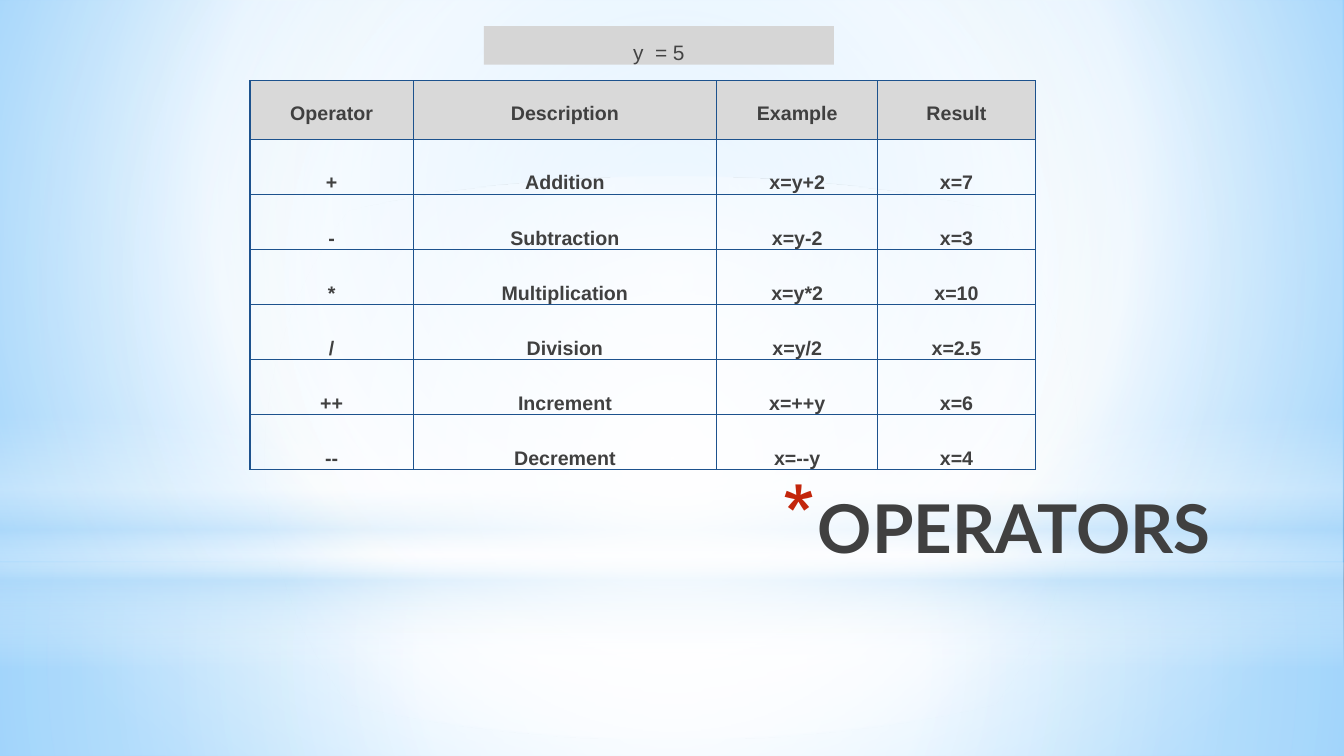
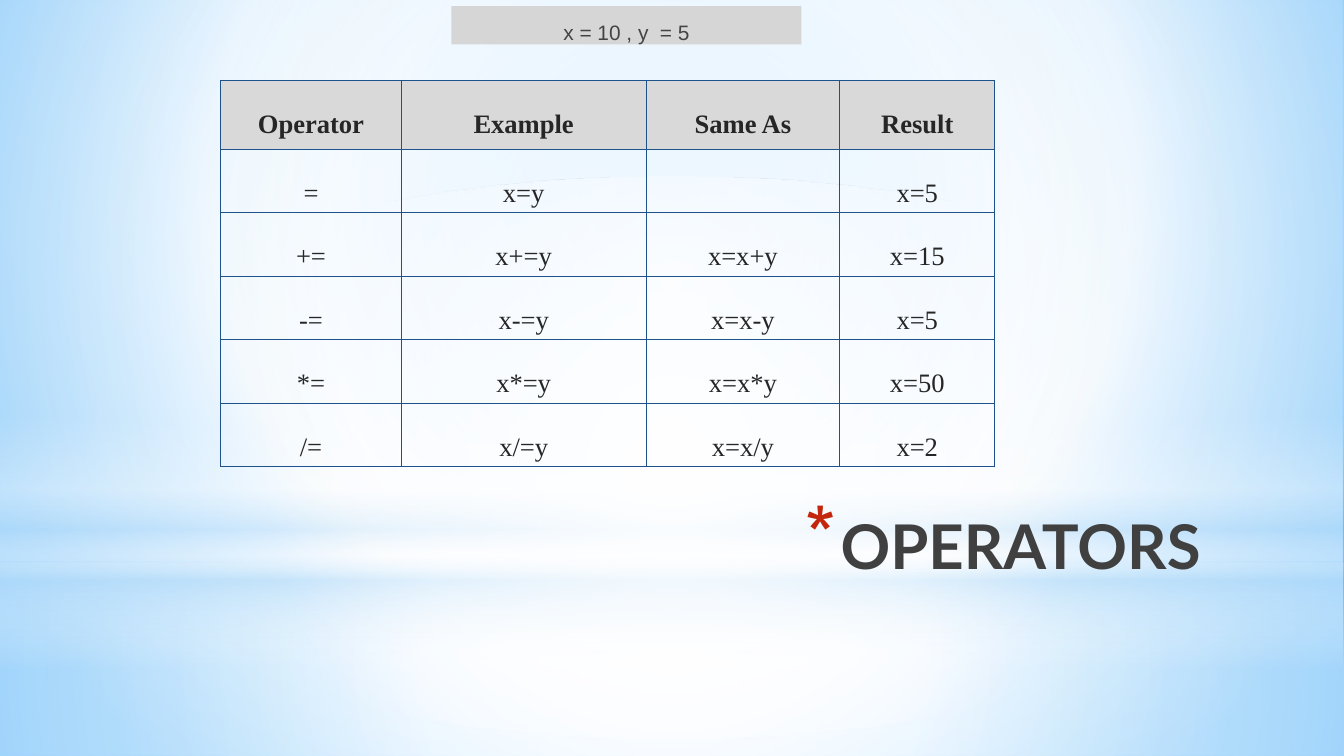
from dataclasses import dataclass

from pptx import Presentation
from pptx.dml.color import RGBColor
from pptx.enum.shapes import MSO_SHAPE as Preset
from pptx.enum.text import MSO_ANCHOR as Anchor, MSO_AUTO_SIZE as AutoSize, PP_ALIGN as Align
from pptx.oxml import parse_xml
from pptx.oxml.ns import nsdecls, qn
from pptx.util import Pt

WIDTH, HEIGHT = 960, 540
HORIZON = 402
TITLE_SIZE = (684, 90)
CAPTION_SIZE = (250, 27.4)
BORDER = "1D528D"
HEADER_FILL = "D9D9D9"
CAPTION_FILL = "D6D6D6"
CAPTION_INK = "444444"
BULLET = "C3260C"
CENTER = (50, 50, 50, 50)
TITLE_STOPS = [(0, "000000", 100), (40, "404040", 100), (100, "212745", 65)]
SKY_STOPS = [(0, "9ED5FF", 100), (60, "FFFFFF", 100), (100, "5BB9FF", 100)]
BACKDROP = [
    (Preset.RECTANGLE, (0, HORIZON, WIDTH, HEIGHT - HORIZON),
     [(0, "FFFFFF", 91), (37, "FFFFFF", 76), (100, "B4DCFA", 79)], CENTER),
    (Preset.RECTANGLE, (0, 0, WIDTH, HORIZON),
     [(0, "FFFFFF", 89), (48, "FFFFFF", 62), (100, "B4DCFA", 79)], CENTER),
    (Preset.RECTANGLE, (0, 297, WIDTH, 180),
     [(0, "FFFFFF", 0), (29, "FFFFFF", 30), (45, "B4DCFA", 40),
      (55, "FFFFFF", 26), (65, "B4DCFA", 60), (100, "FFFFFF", 0)], None),
    (Preset.OVAL, (0, 126, WIDTH, HORIZON),
     [(0, "FFFFFF", 100), (56, "FFFFFF", 0)], CENTER),
]


@dataclass
class TableStyle:
    font: str
    size: float
    ink: str
    bold_body: bool
    body_spacing: float
    header_height: float
    body_height: float


def color(hex_code):
    return RGBColor.from_string(hex_code)


def points(*values):
    return [Pt(value) for value in values]


def place(part, box):
    part.left, part.top, part.width, part.height = points(*box)


def apply_gradient(fill, owner, stops, focus=None):
    fill.background()
    stop_xml = "".join(
        f'<a:gs pos="{pos * 1000}"><a:srgbClr val="{hex_code}">'
        f'<a:alpha val="{alpha * 1000}"/></a:srgbClr></a:gs>'
        for pos, hex_code, alpha in stops)
    if focus:
        left, top, right, bottom = (edge * 1000 for edge in focus)
        direction = (f'<a:path path="circle"><a:fillToRect l="{left}" t="{top}" '
                     f'r="{right}" b="{bottom}"/></a:path>')
    else:
        direction = '<a:lin ang="5400000" scaled="0"/>'
    gradient = parse_xml(f'<a:gradFill {nsdecls("a")} rotWithShape="1">'
                         f'<a:gsLst>{stop_xml}</a:gsLst>{direction}</a:gradFill>')
    empty_fill = owner.find(".//" + qn("a:noFill"))
    empty_fill.getparent().replace(empty_fill, gradient)


def style_font(font, name, size, ink=None, bold=False):
    font.name, font.size, font.bold = name, Pt(size), bold
    if ink:
        font.fill.solid()
        font.fill.fore_color.rgb = color(ink)


def add_panel(slide, preset, box):
    panel = slide.shapes.add_shape(preset, *points(*box))
    panel.shadow.inherit = False
    return panel


def build_backdrop(master, slide):
    apply_gradient(master.background.fill, master.element, SKY_STOPS, (20, 10, 20, 60))
    for index, (preset, box, stops, focus) in enumerate(BACKDROP):
        glow = add_panel(slide, preset, box)
        apply_gradient(glow.fill, glow.element, stops, focus)
        glow.line.fill.background()
        glow.element.xpath(".//p:cNvPr")[0].set("id", str(20 + index))
        master.shapes.element.insert(2 + index, glow.element)


def format_title(slide, text, box, size):
    title = slide.shapes.title
    place(title, box)
    frame = title.text_frame
    frame.text = text
    frame.vertical_anchor = Anchor.TOP
    frame.auto_size = AutoSize.NONE
    heading = frame.paragraphs[0]
    heading.alignment = Align.RIGHT
    properties = heading._p.get_or_add_pPr()
    properties.set("marL", str(Pt(25)))
    properties.set("indent", str(-Pt(25)))
    for bullet_part in (f'buClr {nsdecls("a")}><a:srgbClr val="{BULLET}"/></a:buClr',
                        f'buSzPct {nsdecls("a")} val="128000"/',
                        f'buChar {nsdecls("a")} char="*"/'):
        properties.append(parse_xml(f"<a:{bullet_part}>"))
    style_font(heading.font, "Lato", size, bold=True)
    apply_gradient(heading.font.fill, properties, TITLE_STOPS)


def add_caption(slide, text, box):
    caption = add_panel(slide, Preset.RECTANGLE, box)
    caption.fill.solid()
    caption.fill.fore_color.rgb = color(CAPTION_FILL)
    caption.line.fill.background()
    frame = caption.text_frame
    frame.word_wrap = True
    frame.auto_size = AutoSize.SHAPE_TO_FIT_TEXT
    frame.vertical_anchor = Anchor.TOP
    frame.margin_left = frame.margin_right = frame.margin_bottom = 0
    frame.margin_top = Pt(9.4)
    frame.text = text
    values = frame.paragraphs[0]
    values.alignment = Align.CENTER
    values.space_before = Pt(9.6)
    style_font(values.font, "Arial", 14.9, CAPTION_INK)


def add_borders(cell):
    properties = cell._tc.get_or_add_tcPr()
    for index, side in enumerate("LRTB"):
        properties.insert(index, parse_xml(
            f'<a:ln{side} {nsdecls("a")} w="{Pt(1)}"><a:solidFill>'
            f'<a:srgbClr val="{BORDER}"/></a:solidFill></a:ln{side}>'))


def format_cell(cell, text, style, is_header):
    cell.margin_left = cell.margin_right = cell.margin_top = cell.margin_bottom = 0
    if is_header:
        cell.fill.solid()
        cell.fill.fore_color.rgb = color(HEADER_FILL)
    else:
        cell.fill.background()
    add_borders(cell)
    cell.text = text
    entry = cell.text_frame.paragraphs[0]
    entry.alignment = Align.CENTER
    entry.line_spacing = 2.0 if is_header else style.body_spacing
    style_font(entry.font, style.font, style.size, style.ink, is_header or style.bold_body)


def add_operator_table(slide, rows, origin, column_widths, style):
    heights = [style.header_height] + [style.body_height] * (len(rows) - 1)
    box = (*origin, sum(column_widths), sum(heights))
    operators = slide.shapes.add_table(len(rows), len(column_widths), *points(*box)).table
    operators.first_row = operators.horz_banding = False
    for column, width in zip(operators.columns, column_widths):
        column.width = Pt(width)
    for row_index, (row, height, texts) in enumerate(zip(operators.rows, heights, rows)):
        row.height = Pt(height)
        for cell, text in zip(row.cells, texts):
            format_cell(cell, text, style, row_index == 0)


def build_operator_slide(slide, title_origin, title_size, caption, caption_origin,
                         rows, table_origin, column_widths, style):
    format_title(slide, "OPERATORS", (*title_origin, *TITLE_SIZE), title_size)
    add_operator_table(slide, rows, table_origin, column_widths, style)
    add_caption(slide, caption, (*caption_origin, *CAPTION_SIZE))


ARITHMETIC = [
    ("Operator", "Description", "Example", "Result"),
    ("+", "Addition", "x=y+2", "x=7"),
    ("-", "Subtraction", "x=y-2", "x=3"),
    ("*", "Multiplication", "x=y*2", "x=10"),
    ("/", "Division", "x=y/2", "x=2.5"),
    ("++", "Increment", "x=++y", "x=6"),
    ("--", "Decrement", "x=--y", "x=4"),
]
ASSIGNMENT = [
    ("Operator", "Example", "Same As", "Result"),
    ("=", "x=y", "", "x=5"),
    ("+=", "x+=y", "x=x+y", "x=15"),
    ("-=", "x-=y", "x=x-y", "x=5"),
    ("*=", "x*=y", "x=x*y", "x=50"),
    ("/=", "x/=y", "x=x/y", "x=2"),
]


def main():
    deck = Presentation()
    deck.slide_width, deck.slide_height = points(WIDTH, HEIGHT)
    title_only = deck.slide_layouts[5]
    arithmetic, assignment = (deck.slides.add_slide(title_only) for _ in range(2))
    build_backdrop(deck.slide_master, arithmetic)
    build_operator_slide(
        arithmetic, (188, 344), 48, "y  = 5", (345.6, 18.7),
        ARITHMETIC, (178.6, 57.6), (116.6, 216.7, 115.2, 112.3),
        TableStyle("Arial", 14, "404040", True, 2.5, 41.8, 38.2))
    build_operator_slide(
        assignment, (181, 359.3), 44, "x = 10 , y  = 5", (322.5, 4.3),
        ASSIGNMENT, (157.7, 57.6), (128.9, 175, 138.2, 110.9),
        TableStyle("Times New Roman", 19, "262626", False, 2.0, 49, 45.4))
    deck.save("out.pptx")


if __name__ == "__main__":
    main()
